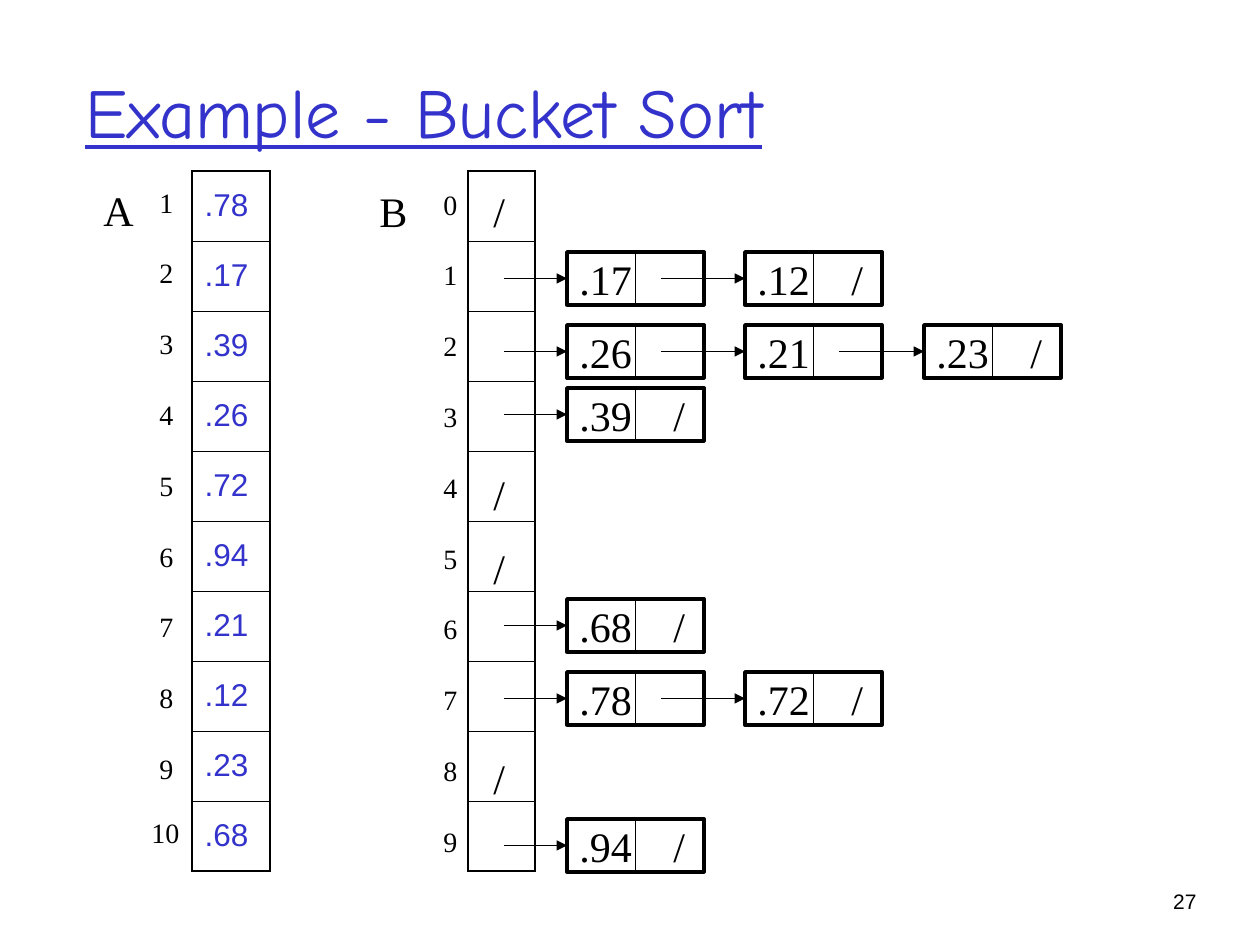
from dataclasses import dataclass

from lxml.etree import SubElement
from pptx import Presentation
from pptx.dml.color import RGBColor
from pptx.enum.shapes import MSO_CONNECTOR, MSO_SHAPE
from pptx.enum.text import MSO_ANCHOR, PP_ALIGN
from pptx.oxml import parse_xml
from pptx.oxml.ns import nsdecls, qn
from pptx.util import Pt

TITLE = "Example - Bucket Sort"
PAGE_NUMBER = "27"
INPUT = [".78", ".17", ".39", ".26", ".72", ".94", ".21", ".12", ".23", ".68"]
CHAINS = [  # top of the chain, values in list order
    (252, [".17", ".12"]),
    (325, [".26", ".21", ".23"]),
    (388, [".39"]),
    (599, [".68"]),
    (672, [".78", ".72"]),
    (819, [".94"]),
]
EMPTY_BUCKET_TOPS = [179, 462, 536, 746]
NIL = "/"


@dataclass(frozen=True)
class Theme:
    ink: RGBColor = RGBColor(0x00, 0x00, 0x00)
    accent: RGBColor = RGBColor(0x33, 0x33, 0xCC)
    title_font: str = "Comic Neue"
    sans: str = "Arial"
    serif: str = "Times New Roman"
    title: int = 40
    node: int = 24
    cell: int = 18
    index: int = 16
    page: int = 12
    node_line: float = 2
    thin_line: float = 0.75
    outer_border: float = 1.08
    inner_border: float = 0.45


THEME = Theme()
EMU_PER_PX = 914400 / 126

ROW_COUNT, ROW_HEIGHT, TABLE_TOP = 10, 70, 171
INDEX_PITCH = 70.8
NODE_LEFTS = (567, 745, 924)
NODE_WIDTH, NODE_HEIGHT = 137, 53
LINK_START = 94  # from the left edge of a node
BUCKET_LINK_LEFT = 504


def px(value):
    return round(value * EMU_PER_PX)


def box(*lengths):
    return [px(length) for length in lengths]


def style(paragraph, size, font=THEME.serif, color=THEME.ink):
    paragraph.font.size = Pt(size)
    paragraph.font.name = font
    paragraph.font.color.rgb = color


def add_text(slide, text, bounds, size, font=THEME.serif, color=THEME.ink, wrap=False):
    frame = slide.shapes.add_textbox(*box(*bounds)).text_frame
    frame.word_wrap = wrap
    paragraph = frame.paragraphs[0]
    paragraph.text = text
    style(paragraph, size, font, color)
    return frame


def add_line(slide, start, end, arrow=False):
    line = slide.shapes.add_connector(MSO_CONNECTOR.STRAIGHT, *box(*start, *end))
    line.line.color.rgb = THEME.ink
    line.line.width = Pt(THEME.thin_line)
    if arrow:
        SubElement(line.line._get_or_add_ln(), qn("a:tailEnd"), type="triangle")
    SubElement(line._element.spPr, qn("a:effectLst"))


def set_borders(cell, widths):
    """Set the left, right, top and bottom border widths, in points."""
    properties = cell._tc.get_or_add_tcPr()
    for position, (side, width) in enumerate(zip("LRTB", widths)):
        properties.insert(position, parse_xml(
            f'<a:ln{side} {nsdecls("a")} w="{Pt(width)}"><a:solidFill>'
            f'<a:srgbClr val="{THEME.ink}"/></a:solidFill></a:ln{side}>'))


def add_array(slide, left, width, values):
    bounds = box(left, TABLE_TOP, width, ROW_HEIGHT * ROW_COUNT)
    table = slide.shapes.add_table(ROW_COUNT, 1, *bounds).table
    table.first_row = table.horz_banding = False
    outer, inner = THEME.outer_border, THEME.inner_border
    for row, value in enumerate(values):
        table.rows[row].height = px(ROW_HEIGHT)
        cell = table.cell(row, 0)
        cell.fill.background()
        cell.vertical_anchor = MSO_ANCHOR.MIDDLE
        set_borders(cell, (outer, outer,
                           outer if row == 0 else inner,
                           outer if row == ROW_COUNT - 1 else inner))
        paragraph = cell.text_frame.paragraphs[0]
        paragraph.text = value
        style(paragraph, THEME.cell, THEME.sans, THEME.accent)


def add_index(slide, label, left, top):
    add_text(slide, label, (left, top, 25 + 14 * len(label), 46), THEME.index)


def add_node(slide, left, top, value, is_last):
    node = slide.shapes.add_shape(
        MSO_SHAPE.RECTANGLE, *box(left, top, NODE_WIDTH, NODE_HEIGHT))
    node.shadow.inherit = False
    node.fill.background()
    node.line.color.rgb = THEME.ink
    node.line.width = Pt(THEME.node_line)
    frame = node.text_frame
    frame.word_wrap = True
    frame.margin_right = 0
    frame.vertical_anchor = MSO_ANCHOR.MIDDLE
    paragraph = frame.paragraphs[0]
    paragraph.alignment = PP_ALIGN.LEFT
    paragraph.text = f"{value}\t{NIL}" if is_last else value
    if is_last:
        tabs = SubElement(paragraph._p.get_or_add_pPr(), qn("a:tabLst"))
        SubElement(tabs, qn("a:tab"), pos=str(px(LINK_START)), algn="l")
    style(paragraph, THEME.node)
    middle = left + NODE_WIDTH / 2
    add_line(slide, (middle, top), (middle, top + NODE_HEIGHT))


def add_chain(slide, top, values):
    link_left = BUCKET_LINK_LEFT
    link_top = top + NODE_HEIGHT / 2
    for position, (left, value) in enumerate(zip(NODE_LEFTS, values), start=1):
        add_node(slide, left, top, value, is_last=position == len(values))
        add_line(slide, (link_left, link_top), (left, link_top), arrow=True)
        link_left = left + LINK_START


def main():
    presentation = Presentation()
    presentation.slide_width, presentation.slide_height = box(1260, 945)
    slide = presentation.slides.add_slide(presentation.slide_layouts[6])

    title = add_text(slide, TITLE, (73, 32, 1071, 157), THEME.title,
                     THEME.title_font, THEME.accent, wrap=True)
    title.vertical_anchor = MSO_ANCHOR.MIDDLE
    title.paragraphs[0].font.underline = True
    page = add_text(slide, PAGE_NUMBER, (1109, 882, 100, 40), THEME.page,
                    THEME.sans, wrap=True)
    page.paragraphs[0].alignment = PP_ALIGN.RIGHT

    add_array(slide, 192, 78, INPUT)
    add_array(slide, 468, 67, [""] * ROW_COUNT)
    add_text(slide, "A", (91, 178, 55, 63), THEME.node)
    add_text(slide, "B", (367, 179, 53, 63), THEME.node)

    for row in range(ROW_COUNT):
        offset = row * INDEX_PITCH
        add_index(slide, str(row), 431, 181 + offset)
        if row < ROW_COUNT - 1:
            add_index(slide, str(row + 1), 147, 179 + offset)
    add_index(slide, str(ROW_COUNT), 139, 809)

    for top, values in CHAINS:
        add_chain(slide, top, values)
    for top in EMPTY_BUCKET_TOPS:
        add_text(slide, NIL, (481, top, 37, 63), THEME.node)

    presentation.save("out.pptx")


if __name__ == "__main__":
    main()
